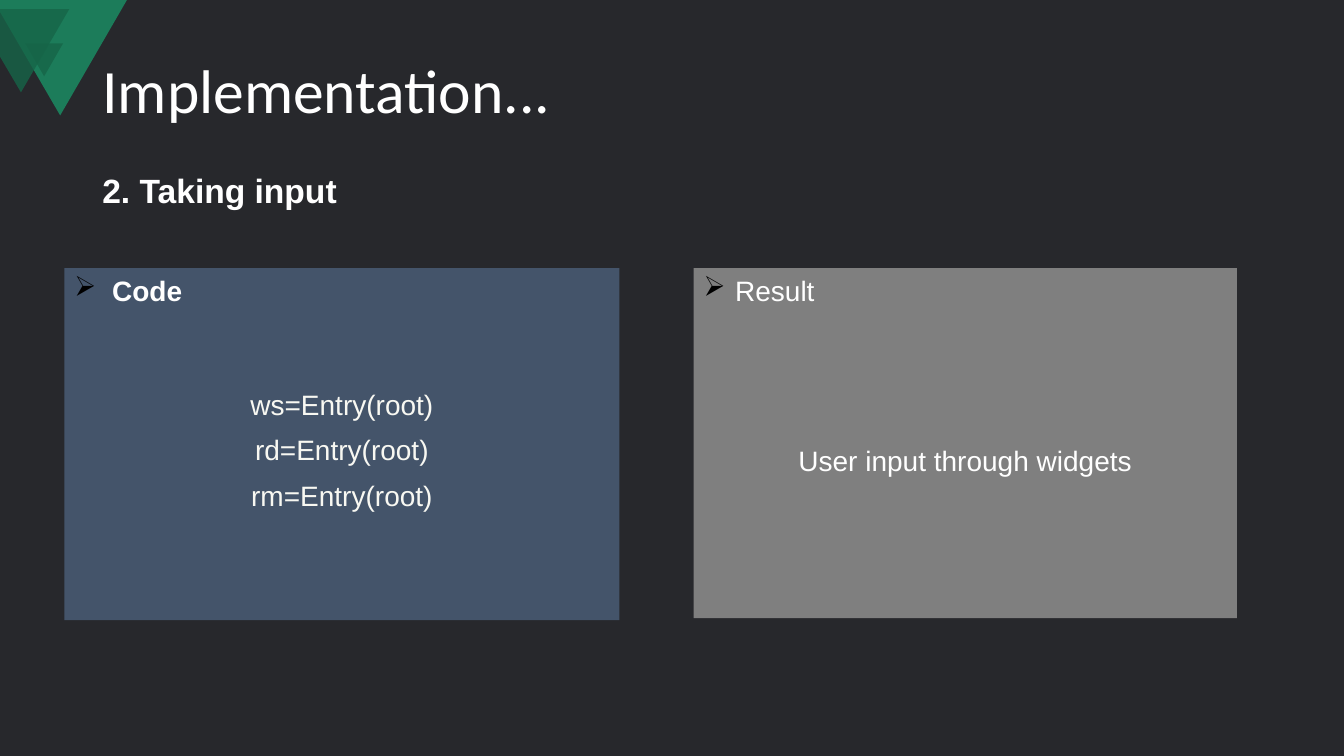
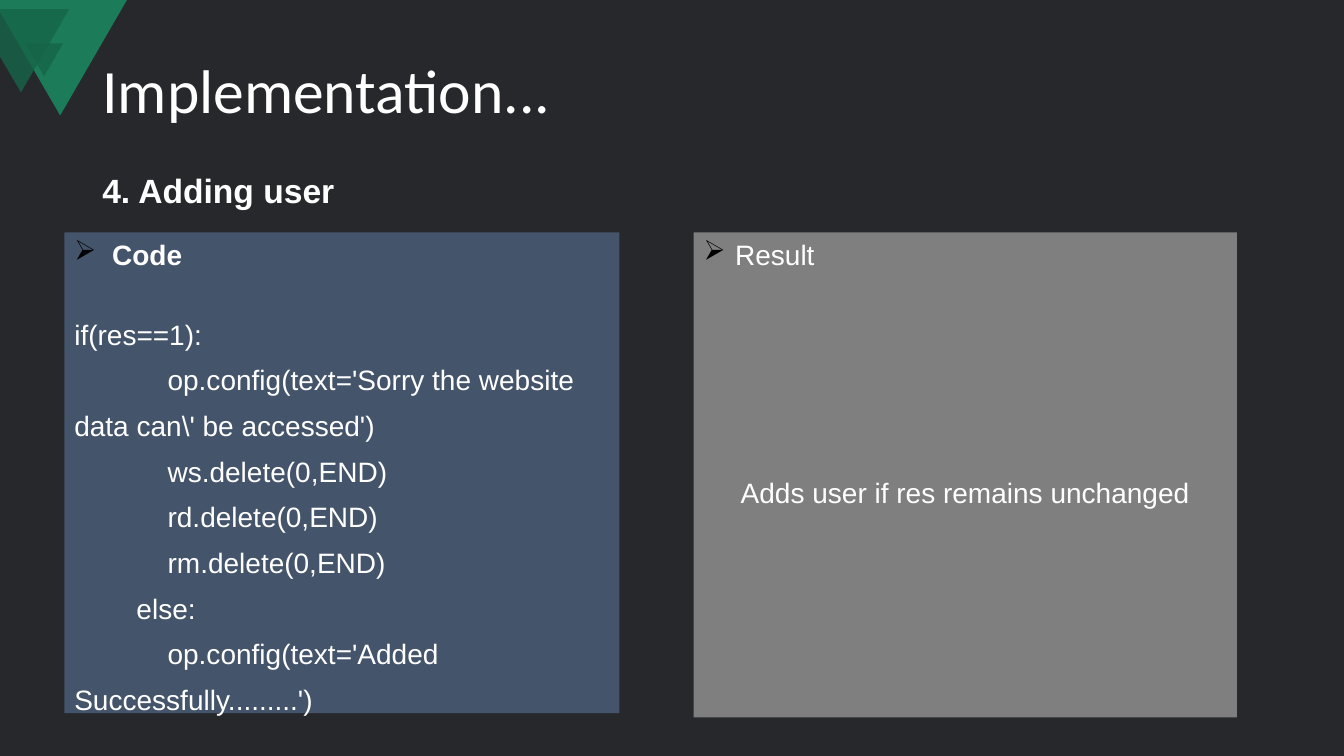
from lxml import etree
from pptx import Presentation
from pptx.dml.color import RGBColor
from pptx.enum import shapes as es, text as et
from pptx.oxml import ns
from pptx.util import Pt

WHITE, DARK, BLUE, GREY = "FFFFFF", "27282C", "44546A", "7F7F7F"
GREEN, DEEP = "1C7C5A", "166548"
TITLE = dict(name="Calibri", size=Pt(44), bold=False)
HEAD = dict(name="Arial", size=Pt(24), bold=True)
BODY = dict(name="Arial", size=Pt(20), bold=False)
LABEL = dict(BODY, bold=True)
LEFT, MID = et.PP_ALIGN.LEFT, et.PP_ALIGN.CENTER
LINE = 24.4  # height of one body line
CODE_LINE = 1.36  # line spacing of code


def color(code):
    return RGBColor.from_string(code)


def add(parent, tag, **attrs):
    return etree.SubElement(parent, ns.qn(tag), attrs)


class Deck:
    def __init__(self):
        self.prs = Presentation()
        self.prs.slide_width, self.prs.slide_height = Pt(960), Pt(540)
        back = self.prs.slide_master.background.fill
        back.solid()
        back.fore_color.rgb = color(DARK)

    def start(self, title, head):
        self.slide = self.prs.slides.add_slide(self.prs.slide_layouts[5])
        self.corner()
        box = self.slide.shapes.title
        self.place(box, 66, 29, 828, 75.5)
        frame = self.frame(box, et.MSO_ANCHOR.MIDDLE)
        self.label(frame.paragraphs[0], title, TITLE, line_spacing=0.9)
        box = self.slide.shapes.add_textbox(Pt(66), Pt(117.5), Pt(420), Pt(36))
        self.label(self.frame(box).paragraphs[0], head, HEAD)

    def place(self, shape, *box):
        for key, val in zip(("left", "top", "width", "height"), box):
            setattr(shape, key, Pt(val))

    def paint(self, shape, fill, alpha=None):
        shape.shadow.inherit = False
        shape.line.fill.background()
        shape.fill.solid()
        shape.fill.fore_color.rgb = color(fill)
        if alpha:
            tone = shape.fill._xPr.find(".//" + ns.qn("a:srgbClr"))
            add(tone, "a:alpha", val=str(alpha * 1000))

    def frame(self, shape, anchor=et.MSO_ANCHOR.TOP):
        frame = shape.text_frame
        form = dict(word_wrap=True, auto_size=et.MSO_AUTO_SIZE.NONE,
                    vertical_anchor=anchor)
        for key, val in form.items():
            setattr(frame, key, val)
        return frame

    def label(self, para, words, style, tone=WHITE, **form):
        for key, val in dict(dict(alignment=LEFT), **form).items():
            setattr(para, key, val)
        run = para.add_run()
        run.text = words
        for key, val in style.items():
            setattr(run.font, key, val)
        run.font.color.rgb = color(tone)

    def bullet(self, para, indent):
        props = para._p.get_or_add_pPr()
        props.set("marL", str(Pt(indent)))
        props.set("indent", str(-Pt(indent)))
        add(add(props, "a:buClr"), "a:srgbClr", val="000000")
        add(props, "a:buFont", typeface="Wingdings")
        add(props, "a:buChar", char="Ø")

    def outline(self, shapes, points, fill, alpha=None):
        form = shapes.build_freeform(Pt(points[0][0]), Pt(points[0][1]))
        form.add_line_segments([(Pt(x), Pt(y)) for x, y in points[1:]])
        self.paint(form.convert_to_shape(), fill, alpha)

    def corner(self):
        """Green triangles, behind everything else."""
        group = self.slide.shapes.add_group_shape()
        parts = group.shapes
        self.outline(parts, [(0, 0), (90.7, 0), (43, 82.5), (0, 8.5)], GREEN)
        small = parts.add_shape(es.MSO_SHAPE.ISOSCELES_TRIANGLE,
                                Pt(18), Pt(31), Pt(27), Pt(23.5))
        small.rotation = 180
        self.paint(small, DEEP, 80)
        self.outline(parts, [(0, 6.5), (49.5, 6.5), (15, 66), (0, 40.5)],
                     DEEP, 80)
        self.slide.shapes._spTree.insert(2, group._element)

    def panel(self, box, fill, head, style, indent, lines, gap,
              tone=WHITE, **form):
        """Filled box: bulleted head, a gap of some lines, then text."""
        rect = self.slide.shapes.add_shape(es.MSO_SHAPE.RECTANGLE,
                                           *[Pt(val) for val in box])
        self.paint(rect, fill)
        frame = self.frame(rect)
        first = frame.paragraphs[0]
        self.bullet(first, indent)
        self.label(first, head, style)
        for num, words in enumerate(lines):
            space = Pt(0 if num else gap * LINE)
            self.label(frame.add_paragraph(), words, BODY, tone,
                       space_before=space, **form)

    def code(self, top, height, lines, gap, **form):
        self.panel((46, top, 396.5, height), BLUE, "Code", LABEL, 27,
                   lines, gap, line_spacing=CODE_LINE, **form)

    def result(self, top, height, words, gap):
        self.panel((495.5, top, 388, height), GREY, "Result", BODY, 22.5,
                   [words], gap, alignment=MID)


def main():
    deck = Deck()

    # Taking input
    deck.start("Implementation...", "2. Taking input")
    entries = [f"{name}=Entry(root)" for name in ("ws", "rd", "rm")]
    deck.code(191.5, 251.5, entries, 2, tone="F8F8F2", alignment=MID)
    deck.result(191.5, 250, "User input through widgets", 4)

    # Adding user
    deck.start("Implementation...", "4. Adding user")
    deck.code(166, 343.5, [
        "if(res==1):",
        "            op.config(text='Sorry the website data can\\' be accessed')",
        "            ws.delete(0,END)",
        "            rd.delete(0,END)",
        "            rm.delete(0,END)",
        "        else:",
        "            op.config(text='Added Successfully.........')",
    ], 1)
    deck.result(166, 346.5, "Adds user if res remains unchanged", 6)

    deck.prs.save("out.pptx")


if __name__ == "__main__":
    main()
